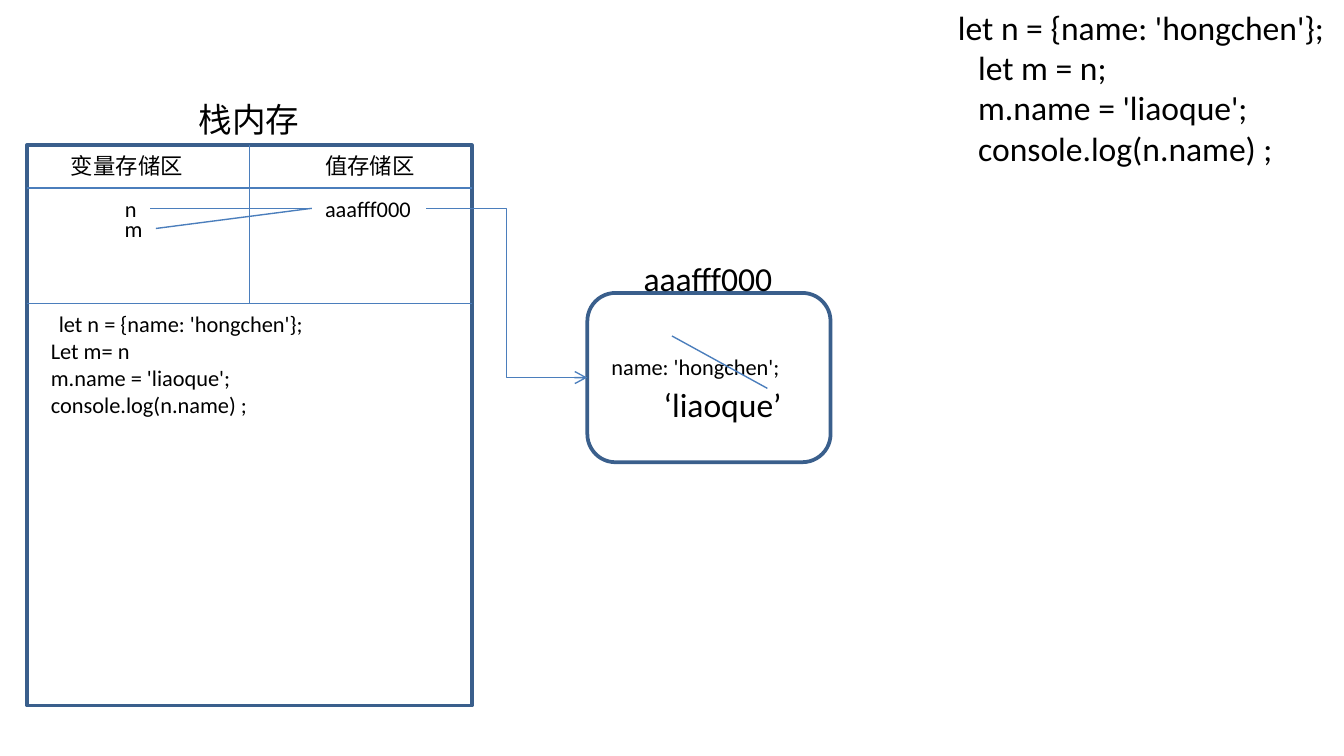
"""Build a slide showing how two variables share one object through stack and heap memory."""
from lxml.etree import SubElement
from pptx import Presentation
from pptx.dml.color import RGBColor
from pptx.enum.shapes import MSO_CONNECTOR as Connector, MSO_SHAPE as Shape
from pptx.enum.text import MSO_ANCHOR as Anchor, MSO_AUTO_SIZE as AutoSize
from pptx.oxml.ns import qn
from pptx.util import Inches, Pt

SLIDE_WIDTH, SLIDE_HEIGHT = 10, 10 * 9 / 16
FONT, TEXT, PAPER, BORDER, LINE = "Calibri", "000000", "FFFFFF", "3A5F8C", "4B7EBC"
STACK = (0.2, 1.08, 3.31, 4.17)
HEAP = (4.37, 2.18, 1.81, 1.26)
LEFT, TOP, WIDTH, _ = STACK
RIGHT, MIDDLE = LEFT + WIDTH, LEFT + WIDTH / 2
HEADER_BOTTOM, VALUES_BOTTOM = 1.4, 2.26
ROW_N, ROW_M = 1.55, 1.7
VARIABLE_LEFT, VALUE_LEFT, VALUE_RIGHT = 0.83, 2.32, 3.17

PROGRAM = ["let n = {name: 'hongchen'};", "let m = n;",
           "m.name = 'liaoque';", "console.log(n.name) ;"]
EXECUTED = [PROGRAM[0], "Let m= n", *PROGRAM[2:]]

LARGE_LABELS = [
    ("栈内存", 1.38, 0.69, 0.96),
    ("aaafff000", 4.69, 1.87, 1.17),
    ("‘liaoque’", 4.84, 2.81, 1.09),
]
SMALL_LABELS = [
    ("变量存储区", 0.43, TOP, 1.04),
    ("值存储区", VALUE_LEFT, TOP, 0.88),
    ("n", VARIABLE_LEFT, HEADER_BOTTOM, 0.29),
    ("m", VARIABLE_LEFT, ROW_N, 0.34),
    ("aaafff000", VALUE_LEFT, HEADER_BOTTOM, VALUE_RIGHT - VALUE_LEFT),
    ("name: 'hongchen';", 4.45, 2.58, 1.52),
]
LINES = [
    (LEFT, HEADER_BOTTOM, RIGHT, HEADER_BOTTOM),
    (LEFT, VALUES_BOTTOM, RIGHT, VALUES_BOTTOM),
    (MIDDLE, TOP, MIDDLE, VALUES_BOTTOM),
    (VALUE_LEFT, ROW_N, 1.12, ROW_N),
    (VALUE_LEFT, ROW_N, 1.16, ROW_M),
]
STRIKE = (5, 2.5, 5.71, 2.89)


def color(value):
    return RGBColor.from_string(value)


def add_text(slide, lines, left, top, width, height, size=12, indents=(0,)):
    box = slide.shapes.add_textbox(*map(Inches, (left, top, width, height)))
    frame = box.text_frame
    frame.word_wrap = False
    frame.auto_size = AutoSize.SHAPE_TO_FIT_TEXT
    frame.vertical_anchor = Anchor.TOP
    frame.text = "\n".join(lines)
    for number, paragraph in enumerate(frame.paragraphs):
        indent = indents[min(number, len(indents) - 1)]
        if indent:
            paragraph._p.get_or_add_pPr().set("marL", str(Inches(indent)))
        font = paragraph.runs[0].font
        font.name, font.size = FONT, Pt(size)
        font.color.rgb = color(TEXT)


def add_box(slide, kind, bounds):
    shape = slide.shapes.add_shape(kind, *map(Inches, bounds))
    shape.shadow.inherit = False
    shape.fill.solid()
    shape.fill.fore_color.rgb = color(PAPER)
    shape.line.color.rgb = color(BORDER)
    shape.line.width = Pt(2)
    return shape


def add_line(slide, ends, kind=Connector.STRAIGHT, target=None):
    connector = slide.shapes.add_connector(kind, *map(Inches, ends))
    connector.line.color.rgb = color(LINE)
    connector.line.width = Pt(0.75)
    if target is not None:
        connector.end_connect(target, 1)
        SubElement(connector.line._get_or_add_ln(), qn("a:tailEnd"), type="arrow")
    SubElement(connector._element.spPr, qn("a:effectLst"))


def main():
    presentation = Presentation()
    presentation.slide_width = Inches(SLIDE_WIDTH)
    presentation.slide_height = Inches(SLIDE_HEIGHT)
    slide = presentation.slides.add_slide(presentation.slide_layouts[6])

    add_box(slide, Shape.RECTANGLE, STACK)
    heap = add_box(slide, Shape.ROUNDED_RECTANGLE, HEAP)
    for ends in LINES:
        add_line(slide, ends)
    heap_middle = HEAP[1] + HEAP[3] / 2
    add_line(slide, (VALUE_RIGHT, ROW_N, HEAP[0], heap_middle), Connector.ELBOW, heap)

    add_text(slide, PROGRAM, 6.96, 0, 3.04, 1.51, size=18, indents=(0.07, 0.22))
    add_text(slide, EXECUTED, 0.28, VALUES_BOTTOM, 2.1, 1.11, indents=(0.06, 0))
    for text, left, top, width in LARGE_LABELS:
        add_text(slide, [text], left, top, width, 0.4, size=18)
    for text, left, top, width in SMALL_LABELS:
        add_text(slide, [text], left, top, width, 0.3)
    add_line(slide, STRIKE)

    presentation.save("out.pptx")


main()
